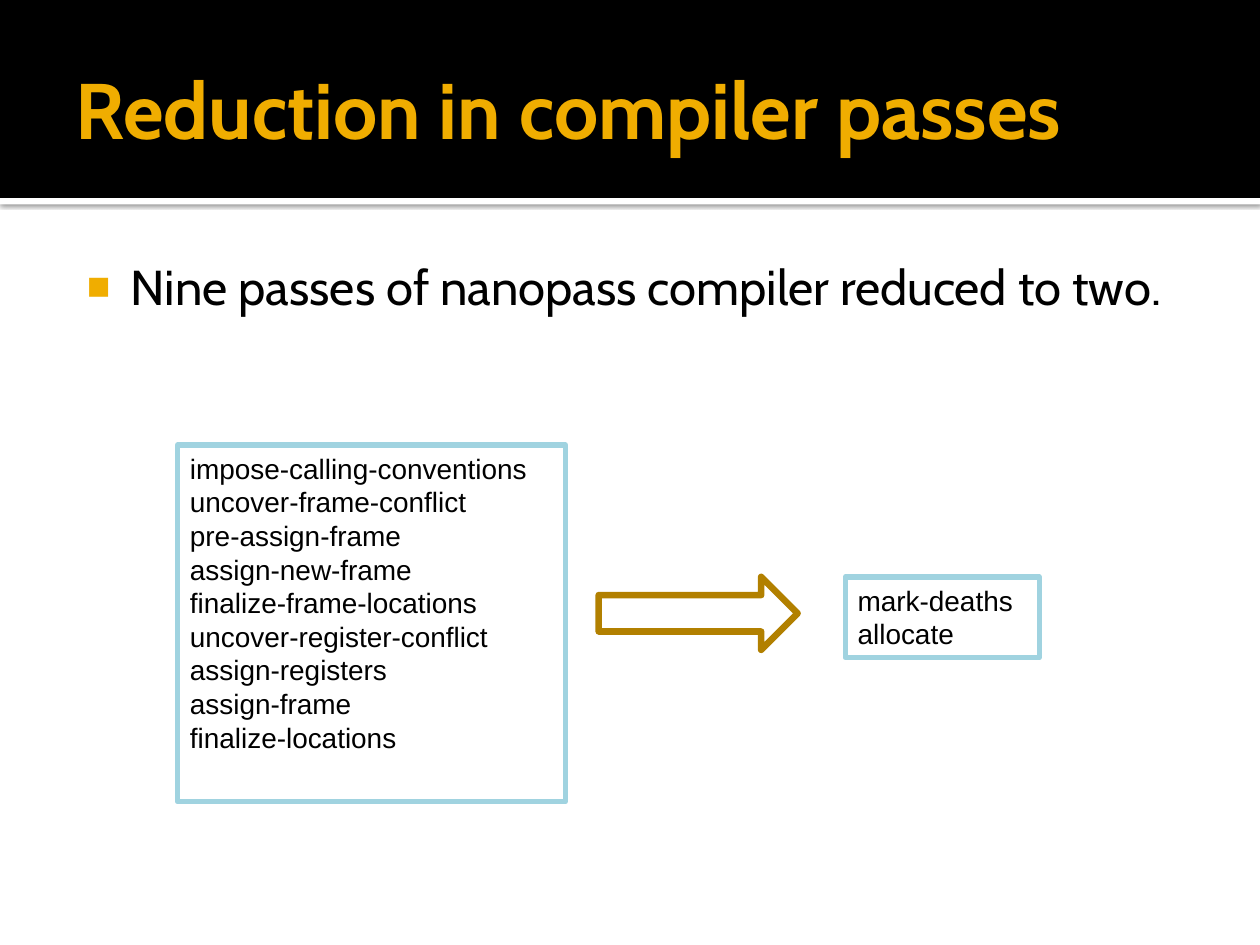
from lxml import etree
from pptx import Presentation
from pptx.dml.color import RGBColor
from pptx.enum.shapes import MSO_SHAPE as Kind
from pptx.enum.text import MSO_ANCHOR as Anchor, PP_ALIGN as Align
from pptx.oxml import parse_xml
from pptx.oxml.ns import nsdecls, qn
from pptx.util import Cm, Pt

BLACK = RGBColor(0x00, 0x00, 0x00)
WHITE = RGBColor(0xFF, 0xFF, 0xFF)
GOLD = RGBColor(0xF0, 0xAD, 0x00)
BROWN = RGBColor(0xB2, 0x80, 0x00)
BLUE = RGBColor(0xA0, 0xD3, 0xE0)

WIDE, HIGH = 25.4, 19.05
BAND = 3.99  # height of the title band
SIDE = 1.27  # margin left and right of the text

OLD = [
    "impose-calling-conventions",
    "uncover-frame-conflict",
    "pre-assign-frame",
    "assign-new-frame",
    "finalize-frame-locations",
    "uncover-register-conflict",
    "assign-registers",
    "assign-frame",
    "finalize-locations",
]
NEW = ["mark-deaths", "allocate"]


class Deck:
    head = {"name": "Cabin", "size": Pt(45), "bold": True}
    body = {"name": "Cabin", "size": Pt(28)}
    code = {"name": "Arial", "size": Pt(16)}

    def __init__(self, slide):
        self.slide = slide

    def shape(self, kind, at, fill=None, line=None, width=3):
        item = self.slide.shapes.add_shape(kind, *map(Cm, at))
        item.shadow.inherit = False
        if fill is None:
            item.fill.background()
        else:
            item.fill.solid()
            item.fill.fore_color.rgb = fill
        if line is None:
            item.line.fill.background()
        else:
            item.line.color.rgb = line
            item.line.width = Pt(width)
        return item

    def label(self, item, lines, style, color=BLACK, pads=(0.25, 0.13, 0.25, 0.13), anchor=Anchor.TOP):
        frame = item.text_frame
        left, top, right, low = map(Cm, pads)
        form = {"word_wrap": True, "vertical_anchor": anchor, "margin_left": left,
                "margin_top": top, "margin_right": right, "margin_bottom": low}
        for key, val in form.items():
            setattr(frame, key, val)
        for i, line in enumerate(lines):
            para = frame.add_paragraph() if i else frame.paragraphs[0]
            para.alignment = Align.LEFT
            run = para.add_run()
            run.text = line
            for key, val in style.items():
                setattr(run.font, key, val)
            run.font.color.rgb = color
        return frame

    def text(self, at, line, style, **form):
        item = self.slide.shapes.add_textbox(*map(Cm, at))
        return self.label(item, [line], style, **form)

    def box(self, at, lines):
        self.label(self.shape(Kind.RECTANGLE, at, line=BLUE), lines, self.code)

    def bullet(self, para, left, hang):
        props = para._p.get_or_add_pPr()
        props.set("marL", str(Cm(left)))
        props.set("indent", str(-Cm(hang)))
        color = etree.SubElement(props, qn("a:buClr"))
        etree.SubElement(color, qn("a:srgbClr"), val=str(GOLD))
        etree.SubElement(props, qn("a:buSzPct"), val="80000")
        etree.SubElement(props, qn("a:buFont"), typeface="Arial")
        etree.SubElement(props, qn("a:buChar"), char="■")

    def shade(self, item):
        effect = item._element.spPr.find(qn("a:effectLst"))
        effect.append(parse_xml(
            f'<a:outerShdw {nsdecls("a")} blurRad="{Pt(2.5)}" dist="{Pt(0.8)}" '
            'dir="5400000" algn="t" rotWithShape="0">'
            '<a:srgbClr val="000000"><a:alpha val="60000"/></a:srgbClr></a:outerShdw>'))


def main():
    show = Presentation()
    show.slide_width, show.slide_height = Cm(WIDE), Cm(HIGH)
    deck = Deck(show.slides.add_slide(show.slide_layouts[6]))

    # Title band with a shaded white rule below
    deck.shade(deck.shape(Kind.RECTANGLE, (0, BAND, WIDE, 0.13), WHITE))
    deck.shape(Kind.RECTANGLE, (0, 0, WIDE, BAND), BLACK)
    span = WIDE - 2 * SIDE
    deck.text((SIDE, 0.43, span, 3.48), "Reduction in compiler passes", deck.head,
              color=GOLD, pads=(0.25, 0.13, 0.13, 0.13), anchor=Anchor.MIDDLE)

    # Passes before and after
    deck.box((3.58, 8.97, 7.82, 7.19), OLD)
    deck.box((17.04, 11.63, 3.91, 1.63), NEW)
    deck.shape(Kind.RIGHT_ARROW, (12.07, 11.63, 4.01, 1.47), WHITE, BROWN, 3.78)

    # Main point
    frame = deck.text((SIDE, 4.93, span, 3.33),
                      "Nine passes of nanopass compiler reduced to two.",
                      deck.body, pads=(0.15, 0.25, 0.25, 0.13))
    deck.bullet(frame.paragraphs[0], 1.22, 0.89)

    show.save("out.pptx")


if __name__ == "__main__":
    main()
